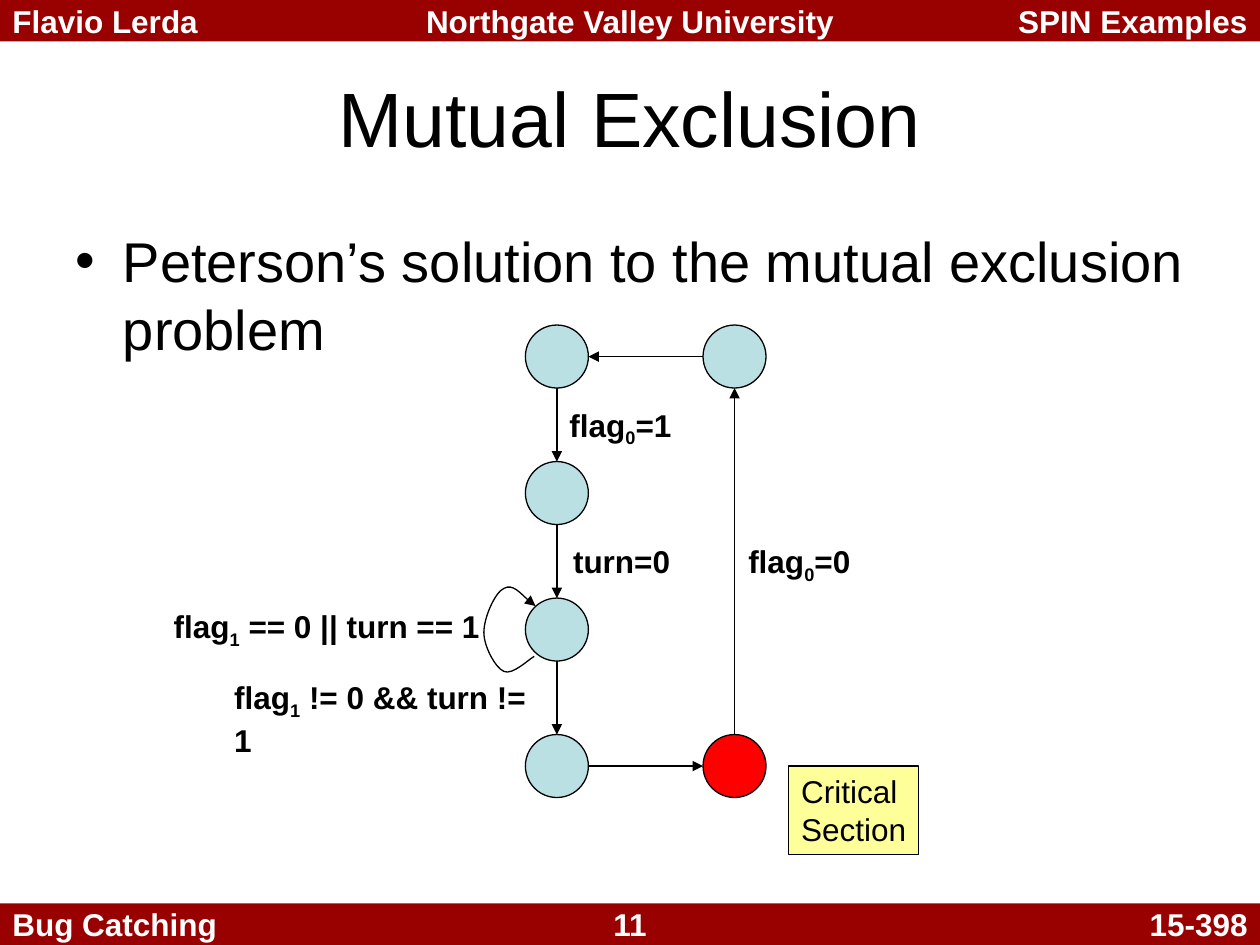
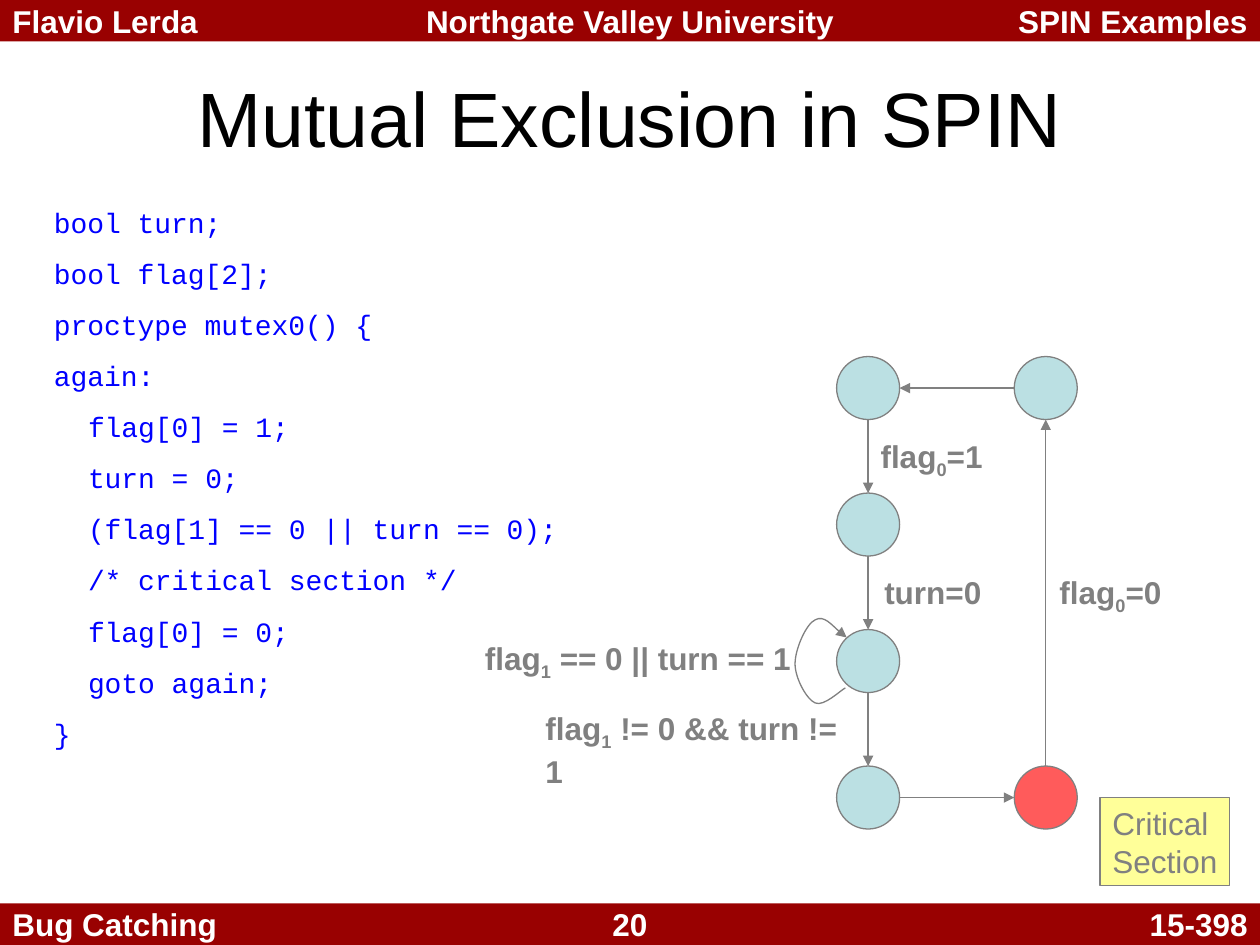
"""Build two slides on mutual exclusion: Peterson's state diagram and its SPIN model."""
from math import hypot

from lxml import etree
from pptx import Presentation, util as u
from pptx.dml.color import RGBColor
from pptx.enum import shapes, text
from pptx.oxml import ns

COLORS = {"band": "990101", "paper": "FFFFFF", "ink": "000000", "muted": "808080",
          "state": "BBE0E3", "critical": "FF0000", "critical_muted": "FF5B5B",
          "note": "FFFF99", "code": "0000FF"}
LEFT, CENTER, RIGHT = text.PP_ALIGN.LEFT, text.PP_ALIGN.CENTER, text.PP_ALIGN.RIGHT

HEADER = [("Flavio Lerda", LEFT), ("Northgate Valley University", CENTER), ("SPIN Examples", RIGHT)]
FOOTER_LEFT, FOOTER_RIGHT = "Bug Catching", "15-398"
BAND_HEIGHT = 0.33
SLIDE_WIDTH, SLIDE_HEIGHT = 10, 7.5

BULLET = "Peterson’s solution to the mutual exclusion problem"
CODE = [(0, "bool turn;"), (0, "bool flag[2];"), (0, "proctype mutex0() {"), (0, "again:"),
        (1, "flag[0] = 1;"), (1, "turn = 0;"), (1, "(flag[1] == 0 || turn == 0);"),
        (1, "/* critical section */"), (1, "flag[0] = 0;"), (1, "goto again;"), (0, "}")]
CODE_INDENT = 0.27

NODE_SIZE = 0.5
COLUMN_STEP, ROW_STEP = 1.41, 3.25 / 3
STATES = {"start": (0, 0), "flagged": (0, 1), "waiting": (0, 2), "granted": (0, 3),
          "critical": (1, 3), "released": (1, 0)}
TRANSITIONS = list(zip(STATES, [*STATES][1:] + ["start"]))
LABELS = [(0.25, 0.59, 1.08, ("flag", "0", "=1")),
          (0.28, 1.67, 0.97, ("turn=0",)),
          (-2.89, 2.19, 2.63, ("flag", "1", " == 0 || turn == 1")),
          (-2.41, 2.75, 2.72, ("flag", "1", " != 0 && turn != 1")),
          (1.67, 1.67, 1.08, ("flag", "0", "=0"))]
WAIT_LOOP = [(0.07, 2.63), (0.03, 2.65), (-0.1, 2.78), (-0.17, 2.75), (-0.24, 2.72),
             (-0.33, 2.55), (-0.33, 2.44), (-0.33, 2.32), (-0.24, 2.12), (-0.17, 2.09),
             (-0.1, 2.05), (0.03, 2.2), (0.08, 2.23)]
NOTE_BOX = (2.09, 3.5, 1.03, 0.7)
NOTE = ["Critical", "Section"]


def rgb(name):
    return RGBColor.from_string(COLORS[name])


def style(paragraph, size, color, bold=False, face="Arial", align=LEFT):
    paragraph.alignment = align
    font = paragraph.font
    font.size, font.bold, font.name = u.Pt(size), bold, face
    font.color.rgb = rgb(color)


def place(shape, box):
    shape.left, shape.top, shape.width, shape.height = map(u.Inches, box)


def outline(shape, color, arrow=False):
    shape.line.color.rgb = rgb(color)
    shape.line.width = u.Pt(0.75)
    if arrow:
        ln = shape._element.spPr.find(ns.qn("a:ln"))
        etree.SubElement(ln, ns.qn("a:tailEnd"), type="triangle")


def add_shape(parts, preset, box, fill, line=None):
    shape = parts.add_shape(preset, *map(u.Inches, box))
    shape.shadow.inherit = False
    shape.fill.solid()
    shape.fill.fore_color.rgb = rgb(fill)
    if line:
        outline(shape, line)
    else:
        shape.line.fill.background()
    return shape


def add_textbox(parts, box, wrap=False):
    frame = parts.add_textbox(*map(u.Inches, box)).text_frame
    frame.word_wrap = wrap
    if not wrap:
        frame.auto_size = text.MSO_AUTO_SIZE.SHAPE_TO_FIT_TEXT
    return frame


def add_band(slide, top, captions):
    box = (0, top, SLIDE_WIDTH, BAND_HEIGHT)
    add_shape(slide.shapes, shapes.MSO_SHAPE.RECTANGLE, box, "band")
    for caption, align in captions:
        frame = add_textbox(slide.shapes, box, wrap=True)
        frame.vertical_anchor = text.MSO_ANCHOR.MIDDLE
        frame.text = caption
        style(frame.paragraphs[0], 18, "paper", bold=True, align=align)


def add_slide(prs, layout, title, number):
    slide = prs.slides.add_slide(prs.slide_layouts[layout])
    add_band(slide, 0, HEADER)
    add_band(slide, SLIDE_HEIGHT - BAND_HEIGHT,
             [(FOOTER_LEFT, LEFT), (number, CENTER), (FOOTER_RIGHT, RIGHT)])
    heading = slide.shapes.title
    place(heading, (0.5, 0.3, 9, 1.25))
    heading.text_frame.text = title
    heading.text_frame.vertical_anchor = text.MSO_ANCHOR.MIDDLE
    style(heading.text_frame.paragraphs[0], 44, "ink", align=CENTER)
    return slide


def add_transition(parts, start, end, ink):
    dx, dy = end[0] - start[0], end[1] - start[1]
    trim = NODE_SIZE / 2 / hypot(dx, dy)
    ends = (start[0] + dx * trim, start[1] + dy * trim, end[0] - dx * trim, end[1] - dy * trim)
    arrow = parts.add_connector(shapes.MSO_CONNECTOR.STRAIGHT, *map(u.Inches, ends))
    outline(arrow, ink, arrow=True)
    etree.SubElement(arrow._element.spPr, ns.qn("a:effectLst"))


def add_wait_loop(parts, x, y, ink):
    points = [(u.Inches(x + px), u.Inches(y + py)) for px, py in WAIT_LOOP]
    builder = parts.build_freeform(*points[0])
    builder.add_line_segments(points[1:], close=False)
    loop = builder.convert_to_shape()
    loop.shadow.inherit = False
    loop.fill.background()
    outline(loop, ink, arrow=True)
    segments = list(loop._element.iter(ns.qn("a:lnTo")))
    track = segments[0].getparent()
    for i in range(0, len(segments), 3):
        curve = etree.SubElement(track, ns.qn("a:cubicBezTo"))
        for segment in segments[i:i + 3]:
            curve.append(segment[0])
            track.remove(segment)


def add_diagram(parts, x, y, ink, critical):
    radius = NODE_SIZE / 2
    centers = {state: (x + col * COLUMN_STEP + radius, y + row * ROW_STEP + radius)
               for state, (col, row) in STATES.items()}
    for state, (cx, cy) in centers.items():
        add_shape(parts, shapes.MSO_SHAPE.OVAL, (cx - radius, cy - radius, NODE_SIZE, NODE_SIZE),
                  critical if state == "critical" else "state", ink)
    for source, target in TRANSITIONS:
        add_transition(parts, centers[source], centers[target], ink)
    add_wait_loop(parts, x, y, ink)
    for dx, dy, width, pieces in LABELS:
        label = add_textbox(parts, (x + dx, y + dy, width, 0.44)).paragraphs[0]
        style(label, 18, ink, bold=True)
        for i, piece in enumerate(pieces):
            run = label.add_run()
            run.text = piece
            if i == 1:
                run.font._element.set("baseline", "-25000")
    dx, dy, width, height = NOTE_BOX
    note = add_shape(parts, shapes.MSO_SHAPE.RECTANGLE, (x + dx, y + dy, width, height), "note", ink)
    note.text_frame.word_wrap = False
    note.text_frame.vertical_anchor = text.MSO_ANCHOR.TOP
    note.text_frame.text = "\n".join(NOTE)
    for line in note.text_frame.paragraphs:
        style(line, 18, ink)


def add_code(slide):
    frame = add_textbox(slide.shapes, (0.33, 1.58, 6.08, 4.42), wrap=True)
    frame.text = "\n".join(line for _, line in CODE)
    for paragraph, (depth, _) in zip(frame.paragraphs, CODE):
        style(paragraph, 16, "code", face="Courier New")
        paragraph.space_before = u.Pt(10)
        paragraph._p.get_or_add_pPr().set("marL", str(u.Inches(depth * CODE_INDENT)))


def main():
    prs = Presentation()
    prs.slide_width, prs.slide_height = u.Inches(SLIDE_WIDTH), u.Inches(SLIDE_HEIGHT)

    peterson = add_slide(prs, 1, "Mutual Exclusion", "11")
    body = peterson.placeholders[1]
    place(body, (0.5, 1.75, 9, 4.95))
    body.text_frame.margin_right = 0
    body.text_frame.text = BULLET
    style(body.text_frame.paragraphs[0], 32, "ink")
    body.text_frame.paragraphs[0].space_before = u.Pt(8)
    add_diagram(peterson.shapes, 4.17, 2.58, "ink", "critical")

    model = add_slide(prs, 5, "Mutual Exclusion in SPIN", "20")
    add_diagram(model.shapes.add_group_shape().shapes, 6.64, 2.83, "muted", "critical_muted")
    add_code(model)

    prs.save("out.pptx")


if __name__ == "__main__":
    main()
